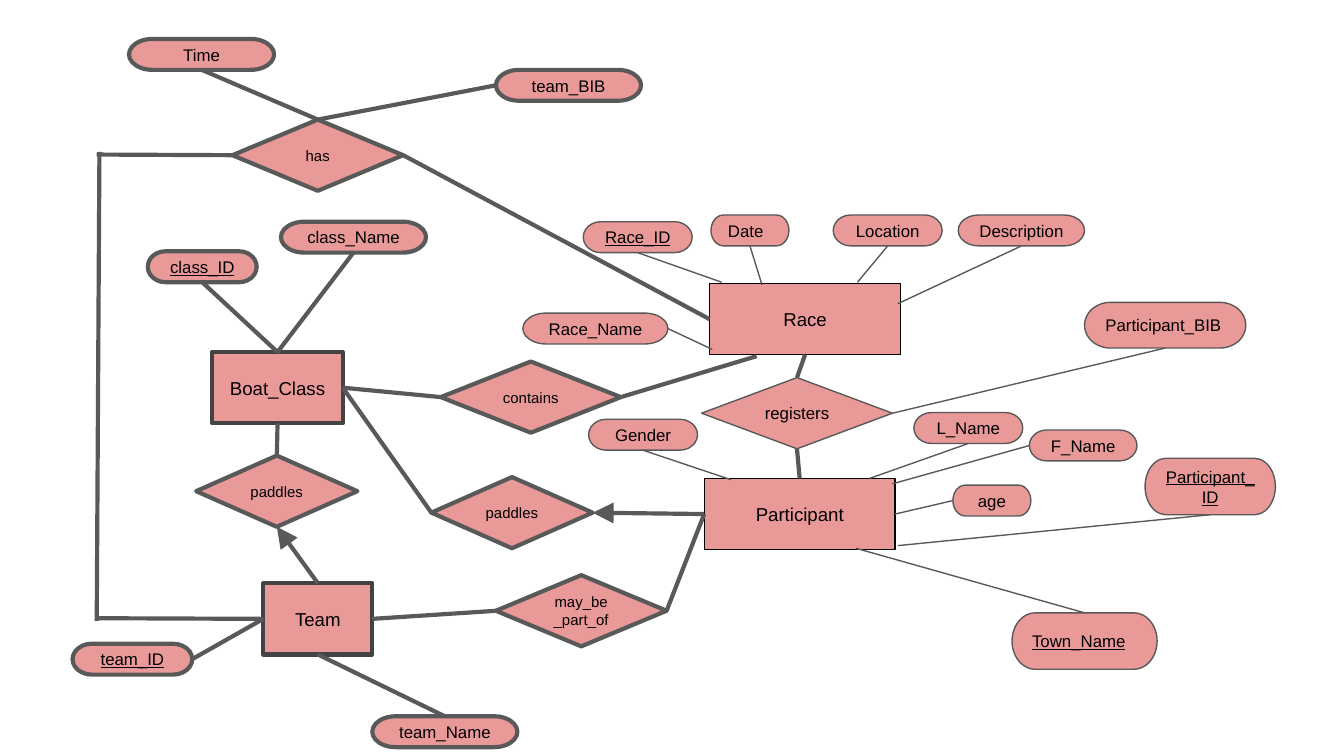
from lxml import etree
from pptx import Presentation
from pptx.dml.color import RGBColor
from pptx.enum.shapes import MSO_CONNECTOR, MSO_SHAPE
from pptx.enum.text import MSO_ANCHOR, PP_ALIGN
from pptx.oxml.ns import qn
from pptx.util import Inches, Pt

RECTANGLE = MSO_SHAPE.RECTANGLE
DIAMOND = MSO_SHAPE.DIAMOND
TERMINATOR = MSO_SHAPE.FLOWCHART_TERMINATOR
STRAIGHT = MSO_CONNECTOR.STRAIGHT
MIDDLE = MSO_ANCHOR.MIDDLE
LEFT_ALIGNED, CENTERED = PP_ALIGN.LEFT, PP_ALIGN.CENTER

PINK = RGBColor(0xEA, 0x99, 0x99)
BLACK = RGBColor(0, 0, 0)
DARK_GRAY = RGBColor(0x43, 0x43, 0x43)
GRAY = RGBColor(0x59, 0x59, 0x59)

THIN, THICK = 0.75, 2.25
TOP, LEFT, BOTTOM, RIGHT = range(4)
NODE_HEIGHT = 0.53
ATTRIBUTE_HEIGHT = 0.23


class Diagram:
    """Draws the parts of an entity-relationship diagram on one slide."""

    font = "Arial"

    def __init__(self, slide):
        self.slide = slide

    def node(self, kind, text, box, size, color, weight, align=CENTERED, key=False):
        shape = self.slide.shapes.add_shape(kind, *map(Inches, box))
        shape.shadow.inherit = False
        shape.fill.solid()
        shape.fill.fore_color.rgb = PINK
        shape.line.color.rgb = color
        shape.line.width = Pt(weight)
        frame = shape.text_frame
        frame.word_wrap = True
        frame.vertical_anchor = MIDDLE
        frame.margin_left = frame.margin_right = Inches(0.1)
        frame.margin_top = frame.margin_bottom = Inches(0.1)
        frame.text = text
        paragraph = frame.paragraphs[0]
        paragraph.alignment = align
        font = paragraph.runs[0].font
        font.name, font.size, font.color.rgb = self.font, Pt(size), BLACK
        if key:
            font.underline = True
        return shape

    def entity(self, text, left, top, width, color=BLACK, weight=THIN):
        return self.node(RECTANGLE, text, (left, top, width, NODE_HEIGHT), 10, color, weight)

    def relationship(self, text, left, top, width, size=8, weight=THICK):
        return self.node(DIAMOND, text, (left, top, width, NODE_HEIGHT), size, GRAY, weight)

    def attribute(self, text, left, top, width, height=ATTRIBUTE_HEIGHT, weight=THIN, **style):
        return self.node(TERMINATOR, text, (left, top, width, height), 9, GRAY, weight, **style)

    def link(self, start, end, weight=THICK, arrow=False):
        """Each end is a (shape, side) pair or an (x, y) point in inches."""
        joined = [hasattr(first, "shape_id") for first, _ in (start, end)]
        points = [(0, 0) if is_joined else place
                  for is_joined, place in zip(joined, (start, end))]
        (x1, y1), (x2, y2) = points
        connector = self.slide.shapes.add_connector(
            STRAIGHT, Inches(x1), Inches(y1), Inches(x2), Inches(y2))
        if joined[0]:
            connector.begin_connect(*start)
        if joined[1]:
            connector.end_connect(*end)
        connector.line.color.rgb = GRAY
        connector.line.width = Pt(weight)
        properties = connector._element.spPr
        if arrow:
            etree.SubElement(properties.find(qn("a:ln")), qn("a:tailEnd"),
                             type="triangle", w="lg", len="lg")
        etree.SubElement(properties, qn("a:effectLst"))


presentation = Presentation()
presentation.slide_width = Inches(10)
presentation.slide_height = presentation.slide_width * 9 // 16
diagram = Diagram(presentation.slides.add_slide(presentation.slide_layouts[6]))

# Entities
race = diagram.entity("Race", 5.28, 2.11, 1.42)
participant = diagram.entity("Participant", 5.24, 3.56, 1.42)
boat_class = diagram.entity("Boat_Class", 1.58, 2.62, 0.97, DARK_GRAY, THICK)
team = diagram.entity("Team", 1.96, 4.34, 0.81, DARK_GRAY, THICK)

# Relationships
registers = diagram.relationship("registers", 5.22, 2.81, 1.42, 9, THIN)
part_of = diagram.relationship("may_be_part_of", 3.69, 4.28, 1.27)
participant_paddles = diagram.relationship("paddles", 3.21, 3.55, 1.2)
team_paddles = diagram.relationship("paddles", 1.46, 3.39, 1.2)
contains = diagram.relationship("contains", 3.28, 2.69, 1.34)
has = diagram.relationship("has", 1.73, 0.89, 1.27)

# Thin attributes: text, left, top, width, style, own side, place on the entity
for text, left, top, width, style, side, place in [
    ("Race_ID", 4.34, 1.65, 0.81, {"key": True}, BOTTOM, (5.37, 2.1)),
    ("Date", 5.29, 1.6, 0.58, {"align": LEFT_ALIGNED}, BOTTOM, (5.67, 2.12)),
    ("Location", 6.2, 1.6, 0.81, {}, BOTTOM, (6.38, 2.1)),
    ("Description", 7.13, 1.6, 0.94, {}, BOTTOM, (6.68, 2.26)),
    ("Race_Name", 3.89, 2.33, 1.08, {}, RIGHT, (5.3, 2.6)),
    ("Participant_BIB", 8.07, 2.25, 1.2, {"height": 0.34, "align": LEFT_ALIGNED},
     BOTTOM, (registers, RIGHT)),
    ("Gender", 4.38, 3.12, 0.81, {}, BOTTOM, (5.44, 3.57)),
    ("L_Name", 6.8, 3.07, 0.81, {}, BOTTOM, (6.47, 3.56)),
    ("F_Name", 7.66, 3.2, 0.8, {}, LEFT, (6.64, 3.6)),
    ("age", 7.09, 3.61, 0.58, {}, LEFT, (participant, RIGHT)),
    ("Participant_ID", 8.52, 3.41, 0.97, {"height": 0.42, "key": True},
     BOTTOM, (6.68, 4.06)),
    ("Town_Name", 7.53, 4.56, 1.08,
     {"height": 0.42, "align": LEFT_ALIGNED, "key": True}, TOP, (6.37, 4.08)),
]:
    attribute = diagram.attribute(text, left, top, width, **style)
    diagram.link((attribute, side), place, THIN)

# Thick attributes: text, left, top, width, key, own side, owner, side of owner
for text, left, top, width, key, side, owner, owner_side in [
    ("Time", 0.96, 0.29, 1.08, False, BOTTOM, has, TOP),
    ("team_BIB", 3.69, 0.52, 1.08, False, LEFT, has, TOP),
    ("class_Name", 2.09, 1.65, 1.08, False, BOTTOM, boat_class, TOP),
    ("class_ID", 1.1, 1.87, 0.81, True, BOTTOM, boat_class, TOP),
    ("team_ID", 0.54, 4.79, 0.89, True, RIGHT, team, LEFT),
    ("team_Name", 2.77, 5.33, 1.08, False, TOP, team, BOTTOM),
]:
    attribute = diagram.attribute(text, left, top, width, weight=THICK, key=key)
    diagram.link((attribute, side), (owner, owner_side))

# Links between entities and relationships
for start, end in [
    ((team, RIGHT), (part_of, LEFT)),
    ((part_of, RIGHT), (participant, LEFT)),
    ((registers, BOTTOM), (participant, TOP)),
    ((race, BOTTOM), (registers, TOP)),
    ((participant_paddles, LEFT), (boat_class, RIGHT)),
    ((team_paddles, TOP), (boat_class, BOTTOM)),
    ((contains, LEFT), (boat_class, RIGHT)),
    ((contains, RIGHT), (5.63, 2.65)),
    ((has, RIGHT), (race, LEFT)),
]:
    diagram.link(start, end)
diagram.link((participant, LEFT), (participant_paddles, RIGHT), arrow=True)
diagram.link((team, TOP), (team_paddles, BOTTOM), arrow=True)

# Outer route from "has" down to Team
diagram.link((0.72, 1.15), (has, LEFT))
diagram.link((0.74, 1.13), (0.72, 4.62))
diagram.link((0.72, 4.6), (team, LEFT))

presentation.save("out.pptx")
